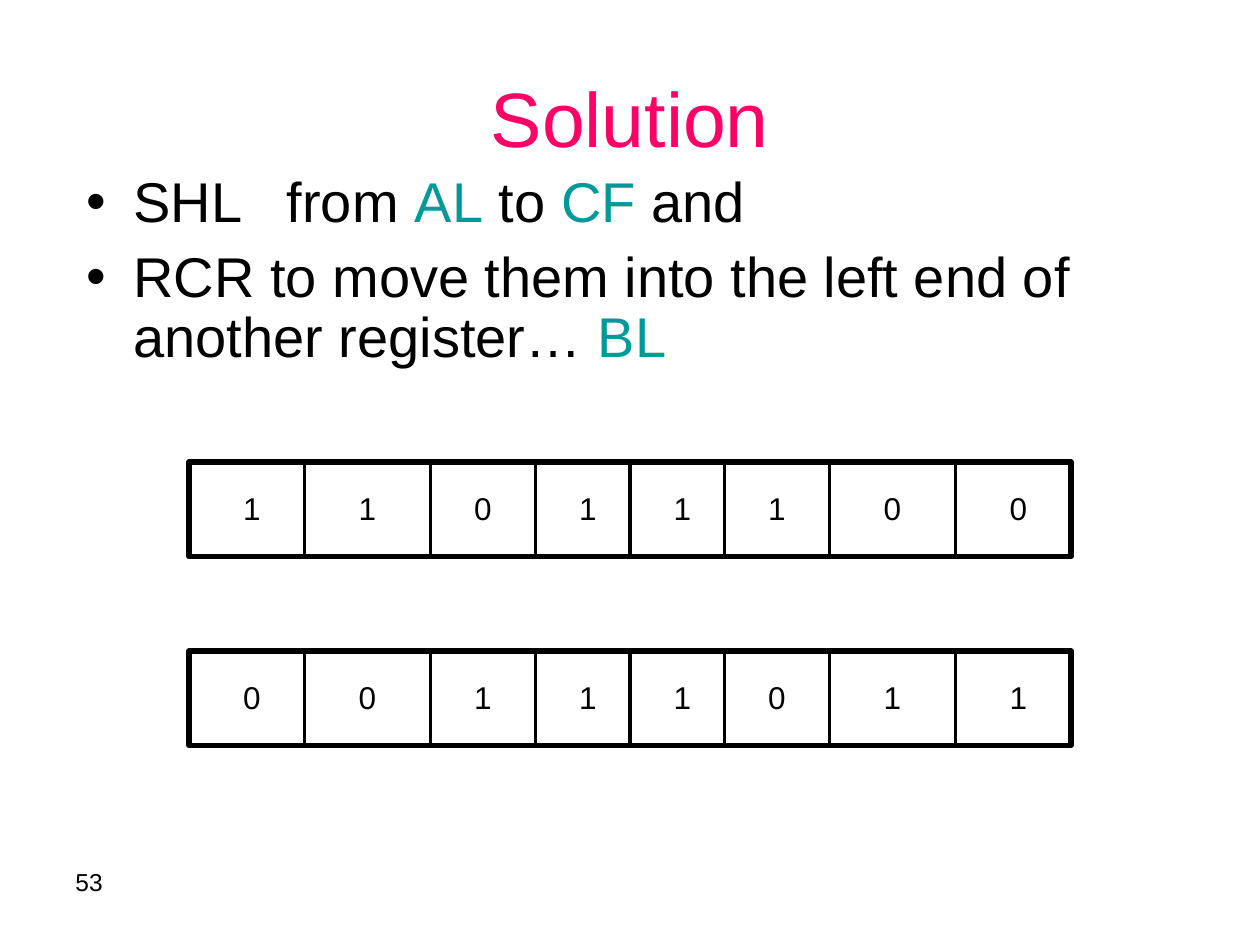
"""Build the Solution slide: two bit registers under a title and two bullets."""
import pptx
import pptx.dml.color
import pptx.enum.shapes
import pptx.enum.text
import pptx.oxml.ns
import pptx.util
from lxml import etree

BLACK = pptx.dml.color.RGBColor(0x00, 0x00, 0x00)
PINK = pptx.dml.color.RGBColor(0xFF, 0x00, 0x66)
TEAL = pptx.dml.color.RGBColor(0x00, 0x99, 0x99)

presentation = pptx.Presentation()
presentation.slide_width = pptx.util.Inches(10)
presentation.slide_height = pptx.util.Inches(7.5)
unit = presentation.slide_width // 120
slide = presentation.slides.add_slide(presentation.slide_layouts[1])


def place(shape, left, top, width, height):
    shape.left, shape.top = int(left * unit), int(top * unit)
    shape.width, shape.height = int(width * unit), int(height * unit)


def add_label(text, size, left, top, width, height):
    box = slide.shapes.add_textbox(0, 0, 0, 0)
    place(box, left, top, width, height)
    box.text_frame.word_wrap = True
    paragraph = box.text_frame.paragraphs[0]
    paragraph.text = text
    paragraph.font.name = "Arial"
    paragraph.font.size = pptx.util.Pt(size)
    paragraph.font.color.rgb = BLACK
    return paragraph


add_label("53", 14, 6, 82, 28, 6.2)

title = slide.shapes.title
place(title, 6, 3.6, 108, 15)
title.text_frame.auto_size = pptx.enum.text.MSO_AUTO_SIZE.NONE
heading = title.text_frame.paragraphs[0]
heading.text = "Solution"
heading.alignment = pptx.enum.text.PP_ALIGN.CENTER
heading.font.name = "Arial"
heading.font.size = pptx.util.Pt(44)
heading.font.color.rgb = PINK

bullets = [
    [("SHL   from ", BLACK), ("AL", TEAL), (" to ", BLACK), ("CF", TEAL), (" and", BLACK)],
    [("RCR to move them into the left end of another register… ", BLACK), ("BL", TEAL)],
]
body = slide.placeholders[1]
place(body, 7, 16, 108, 21)
body.text_frame.auto_size = pptx.enum.text.MSO_AUTO_SIZE.NONE
for index, pieces in enumerate(bullets):
    paragraph = body.text_frame.add_paragraph() if index else body.text_frame.paragraphs[0]
    paragraph.line_spacing = 0.9
    paragraph.space_before = pptx.util.Pt(8)
    paragraph.font.name = "Arial"
    paragraph.font.size = pptx.util.Pt(32)
    for text, color in pieces:
        run = paragraph.add_run()
        run.text = text
        run.font.color.rgb = color

edges = [18, 29, 41, 51, 60, 69, 79, 91, 102]
register_height = 9
for top, bits in [(44, "11011100"), (62, "00111011")]:
    register = slide.shapes.add_shape(pptx.enum.shapes.MSO_SHAPE.RECTANGLE, 0, 0, 0, 0)
    place(register, edges[0], top, edges[-1] - edges[0], register_height)
    register.shadow.inherit = False
    register.fill.background()
    register.line.color.rgb = BLACK
    register.line.width = pptx.util.Pt(3)

    for edge in edges[1:-1]:
        divider = slide.shapes.add_connector(
            pptx.enum.shapes.MSO_CONNECTOR.STRAIGHT,
            edge * unit, top * unit, edge * unit, (top + register_height) * unit)
        divider.line.color.rgb = BLACK
        divider.line.width = pptx.util.Pt(2.25)
        etree.SubElement(divider._element.spPr, pptx.oxml.ns.qn("a:effectLst"))
        if 2 * edge == edges[0] + edges[-1]:
            divider.begin_connect(register, 0)
            divider.end_connect(register, 2)

    for bit, left, right in zip(bits, edges, edges[1:]):
        inset = 3 if right - left > 10 else 2
        paragraph = add_label(bit, 18, left + inset, top + 2, 6, 4.8)
        paragraph.alignment = pptx.enum.text.PP_ALIGN.CENTER
        paragraph.space_before = pptx.util.Pt(11.2)

presentation.save("out.pptx")
